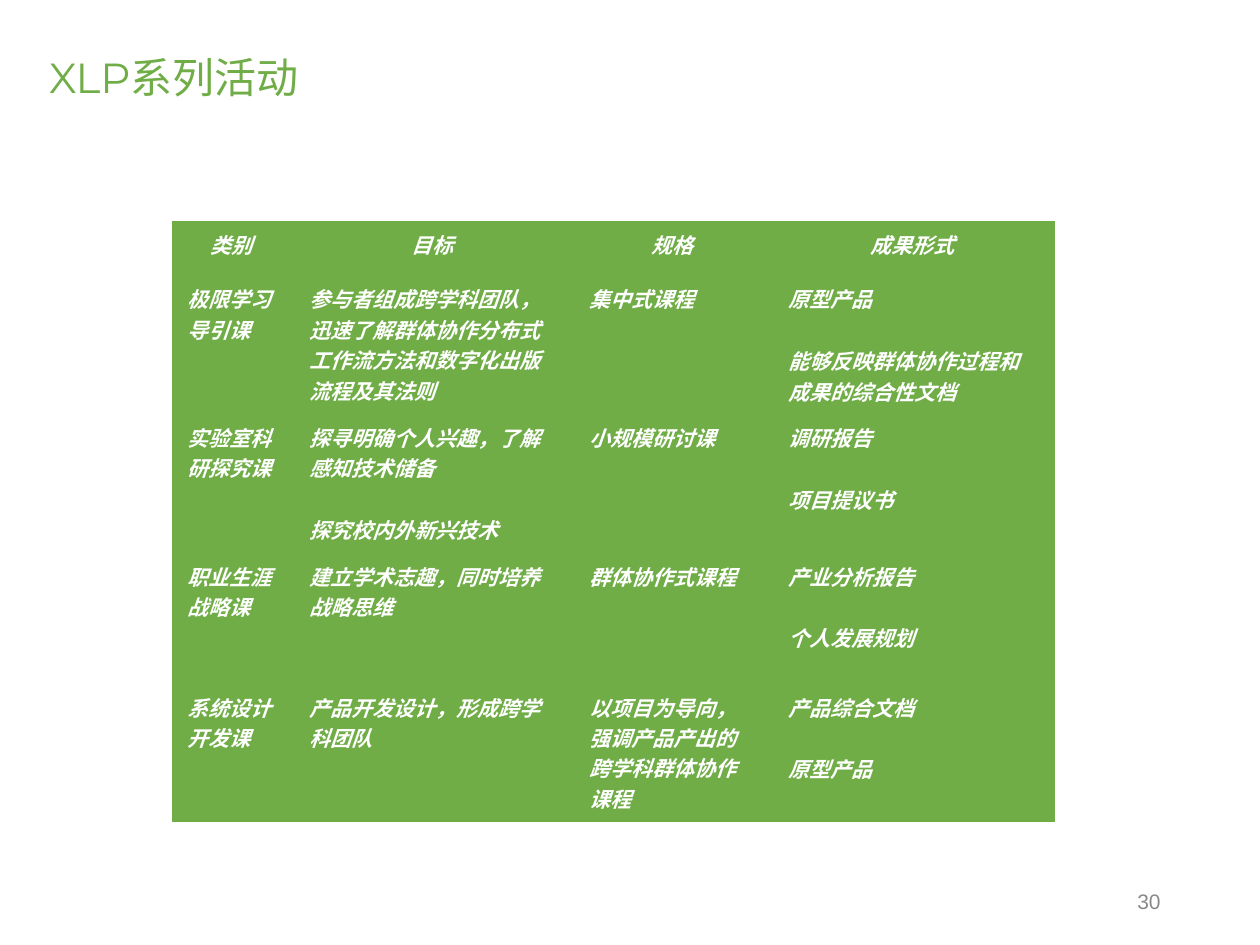
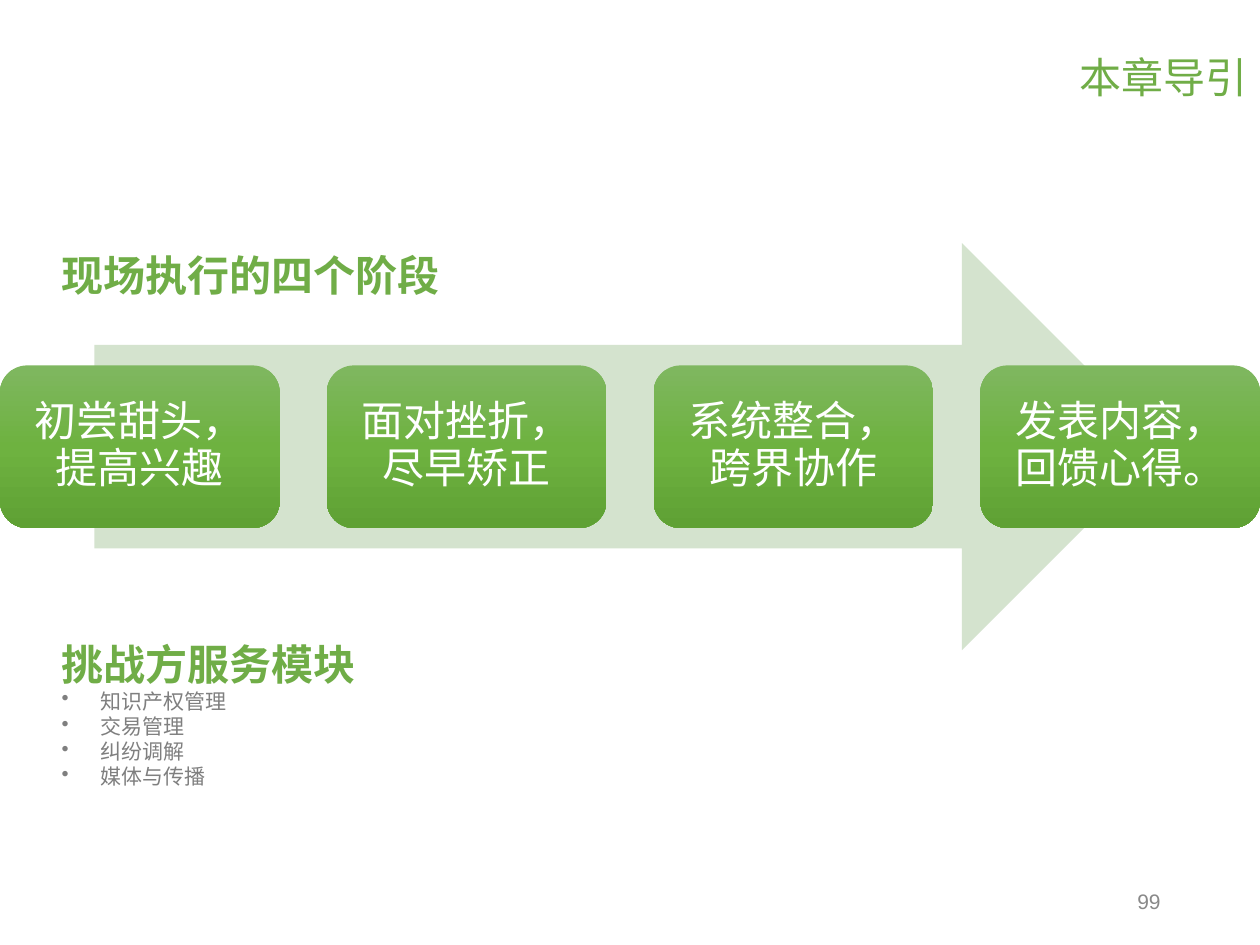
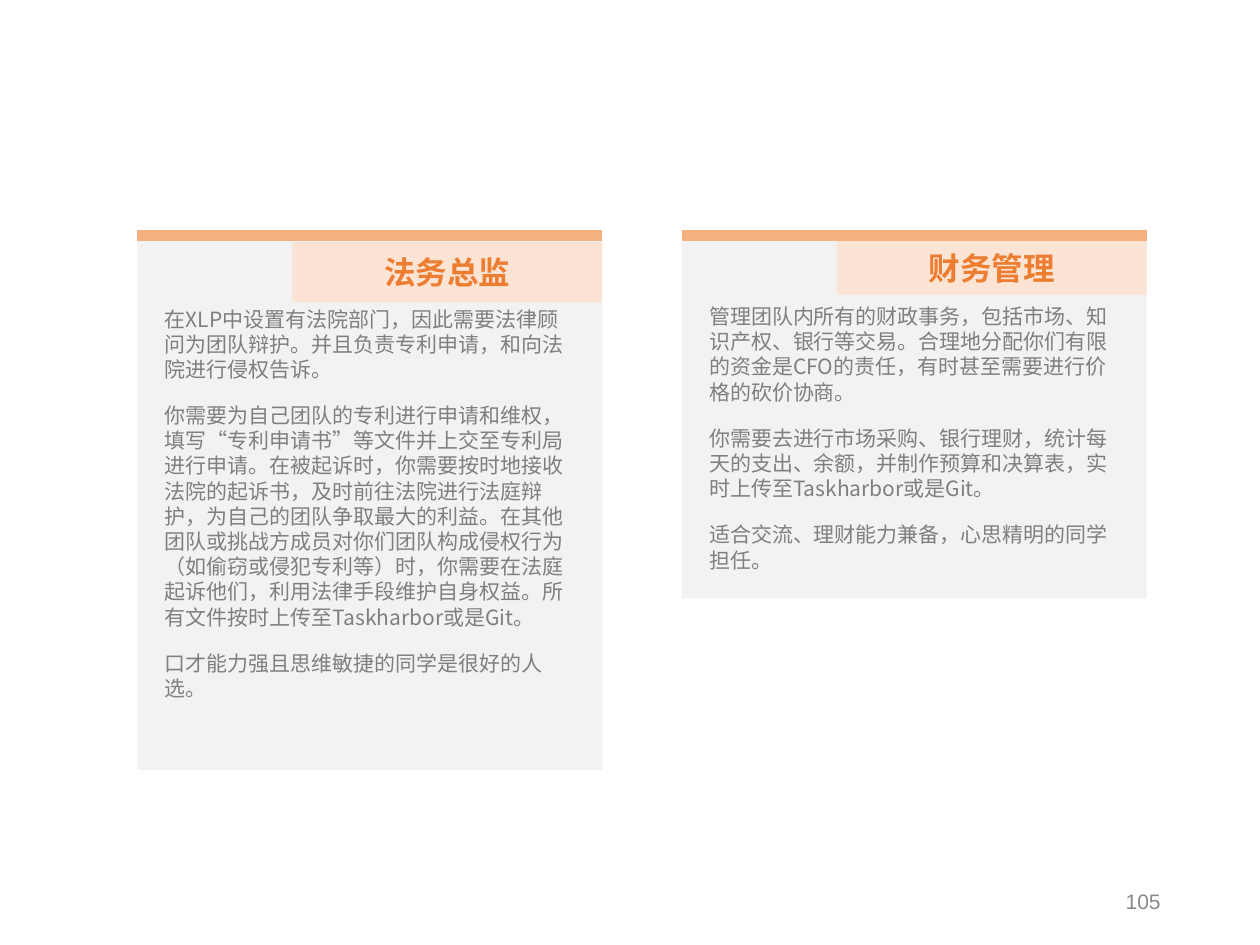
from copy import deepcopy

from lxml import etree
from pptx import Presentation, util as u
from pptx.dml.color import RGBColor
from pptx.enum import lang, shapes, text
from pptx.oxml.ns import qn

HUE = {
    "green": "70AD47", "white": "FFFFFF", "gray": "7F7F7F", "page": "898989",
    "arrow": "D4E3CE", "card": "F2F2F2", "flag": "FBE4D4", "rust": "ED7D31",
    "bar": "F4B081", "top": "7FB760", "mid": "6EB240", "low": "5FA134",
}
RGB = {name: RGBColor.from_string(code) for name, code in HUE.items()}
CJK = "Noto Sans CJK SC"
W, H = 10, 7.5
LEFT, MID, RIGHT = text.PP_ALIGN.LEFT, text.PP_ALIGN.CENTER, text.PP_ALIGN.RIGHT
KIND = shapes.MSO_SHAPE


def put(frame, lines, size, hue, face=CJK, align=LEFT, lead=None, gap=0,
        bullet=None, hang=True, more=False, **style):
    """Write one paragraph per line; more=True adds them after the present text."""
    frame.word_wrap = True
    for i, line in enumerate(lines):
        first = i == 0 and not more
        para = frame.paragraphs[0] if first else frame.add_paragraph()
        props = para._p.get_or_add_pPr()
        if not hang:
            props.set("hangingPunct", "0")
        if bullet:
            props.set("marL", str(u.Inches(0.31)))
            props.set("indent", str(-u.Inches(0.31)))
            etree.SubElement(props, qn("a:buChar"), char=bullet)
        para.alignment = align
        para.space_before = u.Pt(0 if first else gap)
        if lead:
            para.line_spacing = u.Pt(lead)
        run = para.add_run()
        run.text = line
        look = {"name": face, "size": u.Pt(size), "bold": False,
                "language_id": lang.MSO_LANGUAGE_ID.SIMPLIFIED_CHINESE, **style}
        for key, value in look.items():
            setattr(run.font, key, value)
        run.font.color.rgb = RGB[hue]
        etree.SubElement(run._r.get_or_add_rPr(), qn("a:ea"), typeface=CJK)


def add(slide, x, y, w, h, kind=None, hue=None):
    """Add a text box, or a plain shape if a kind is given."""
    spot = [u.Inches(n) for n in (x, y, w, h)]
    if kind is None:
        return slide.shapes.add_textbox(*spot)
    shape = slide.shapes.add_shape(kind, *spot)
    shape.shadow.inherit = False
    shape.line.fill.background()
    if hue:
        shape.fill.solid()
        shape.fill.fore_color.rgb = RGB[hue]
    return shape


deck = Presentation()
deck.slide_width, deck.slide_height = u.Inches(W), u.Inches(H)

# Titles and page numbers
pages = []
for title, wide, align, num in [
    ("XLP系列活动", 9.53, LEFT, "30"),
    ("本章导引", W, RIGHT, "99"),
    (None, None, None, "105"),
]:
    slide = deck.slides.add_slide(deck.slide_layouts[5 if title else 6])
    pages.append(slide)
    if title:
        head = slide.shapes.title
        spot = {"left": 0, "top": 0.26, "width": wide, "height": 0.59}
        for key, value in spot.items():
            setattr(head, key, u.Inches(value))
        frame = head.text_frame
        frame.auto_size = text.MSO_AUTO_SIZE.NONE
        frame.vertical_anchor = text.MSO_ANCHOR.BOTTOM
        frame.margin_left, frame.margin_right = u.Inches(0.39), u.Inches(0.1)
        frame.margin_top, frame.margin_bottom = u.Inches(0.05), u.Inches(0.04)
        put(frame, [title], 24, "green", "Montserrat", align)
    foot = add(slide, 7.06, 6.95, 2.25, 0.4).text_frame
    foot.vertical_anchor = text.MSO_ANCHOR.MIDDLE
    put(foot, [num], 12, "page", "Arial", RIGHT)

# Table of activities
ROWS = [
    ["类别", "目标", "规格", "成果形式"],
    ["极限学习导引课",
     "参与者组成跨学科团队，迅速了解群体协作分布式工作流方法和数字化出版流程及其法则",
     "集中式课程", "原型产品\n能够反映群体协作过程和成果的综合性文档"],
    ["实验室科研探究课", "探寻明确个人兴趣，了解感知技术储备\n探究校内外新兴技术",
     "小规模研讨课", "调研报告\n项目提议书"],
    ["职业生涯战略课", "建立学术志趣，同时培养战略思维",
     "群体协作式课程", "产业分析报告\n个人发展规划"],
    ["系统设计开发课", "产品开发设计，形成跨学科团队",
     "以项目为导向，强调产品产出的跨学科群体协作课程", "产品综合文档\n原型产品"],
]
COLS = [0.97, 2.22, 1.58, 2.23]
TALL = [0.43, 1.1, 1.1, 1.04, 1.09]
grid = pages[0].shapes.add_table(
    len(ROWS), len(COLS), u.Inches(1.37), u.Inches(1.76),
    u.Inches(sum(COLS)), u.Inches(sum(TALL))).table
for col, wide in zip(grid.columns, COLS):
    col.width = u.Inches(wide)
for r, row in enumerate(ROWS):
    grid.rows[r].height = u.Inches(TALL[r])
    for c, words in enumerate(row):
        cell = grid.cell(r, c)
        cell.margin_left, cell.margin_right = u.Inches(0.12), u.Inches(0.15)
        cell.margin_top = cell.margin_bottom = u.Inches(0.06)
        for side in ("lnL", "lnR", "lnT", "lnB"):
            edge = etree.SubElement(cell._tc.get_or_add_tcPr(), qn("a:" + side),
                                    w=str(u.Pt(0.5)))
            ink = etree.SubElement(edge, qn("a:solidFill"))
            etree.SubElement(ink, qn("a:srgbClr"), val=HUE["green"])
        cell.fill.solid()
        cell.fill.fore_color.rgb = RGB["green"]
        put(cell.text_frame, words.split("\n"), 12, "white",
            CJK if c == 3 else "Arial", LEFT if r else MID, gap=18,
            bold=True, italic=True)

# Four phases on an arrow, then the service modules
guide = pages[1]
add(guide, 0.75, 1.93, 8.5, 3.23, KIND.RIGHT_ARROW, "arrow")
PHASES = ["初尝甜头，提高兴趣", "面对挫折，尽早矫正",
          "系统整合，跨界协作", "发表内容，回馈心得。"]
wide = 2.22
step = (W - wide) / (len(PHASES) - 1)
for i, phase in enumerate(PHASES):
    box = add(guide, i * step, 2.9, wide, 1.29, KIND.ROUNDED_RECTANGLE)
    box.fill.gradient()
    box.fill.gradient_angle = 270
    stops = next(box._element.spPr.iter(qn("a:gsLst")))
    stops.insert(1, deepcopy(stops[0]))
    for stop, hue, place in zip(box.fill.gradient_stops,
                                ("top", "mid", "low"), (0, 0.5, 1)):
        stop.color.rgb = RGB[hue]
        stop.position = place
    frame = box.text_frame
    frame.vertical_anchor = text.MSO_ANCHOR.MIDDLE
    frame.margin_left = frame.margin_right = u.Inches(0.17)
    frame.margin_bottom = u.Inches(0.07)
    put(frame, [phase], 24, "white", align=MID, lead=26.3)

put(add(guide, 0.39, 1.93, 3.4, 0.51).text_frame, ["现场执行的四个阶段"],
    24, "green", lead=29, bold=True)
frame = add(guide, 0.39, 4.81, 3.4, 1.68).text_frame
put(frame, ["挑战方服务模块"], 24, "green", lead=43.5, bold=True)
put(frame, ["知识产权管理", "交易管理", "纠纷调解", "媒体与传播"],
    12, "gray", bullet="•", more=True)

# Role cards: name, left, card height, flag top and height, body top, body
CARDS = [
    ("财务管理", 5.41, 2.92, 1.91, 0.43, 2.36, [
        "管理团队内所有的财政事务，包括市场、知识产权、银行等交易。合理地分配你们有限的资金是CFO的责任，有时甚至需要进行价格的砍价协商。",
        "你需要去进行市场采购、银行理财，统计每天的支出、余额，并制作预算和决算表，实时上传至Taskharbor或是Git。",
        "适合交流、理财能力兼备，心思精明的同学担任。"]),
    ("法务总监", 1.09, 4.28, 1.92, 0.48, 2.38, [
        "在XLP中设置有法院部门，因此需要法律顾问为团队辩护。并且负责专利申请，和向法院进行侵权告诉。",
        "你需要为自己团队的专利进行申请和维权，填写“专利申请书”等文件并上交至专利局进行申请。在被起诉时，你需要按时地接收法院的起诉书，及时前往法院进行法庭辩护，为自己的团队争取最大的利益。在其他团队或挑战方成员对你们团队构成侵权行为（如偷窃或侵犯专利等）时，你需要在法庭起诉他们，利用法律手段维护自身权益。所有文件按时上传至Taskharbor或是Git。",
        "口才能力强且思维敏捷的同学是很好的人选。"]),
]
wide, top = 3.69, 1.83
for role, x, tall, y, high, start, body in CARDS:
    add(pages[2], x, top, wide, tall, KIND.RECTANGLE, "card")
    put(add(pages[2], x + 0.12, start, 3.4, top + tall - start).text_frame,
        body, 12, "gray", lead=14.4, gap=12, hang=False)
    flag = add(pages[2], x + wide / 3, y, wide * 2 / 3, high, KIND.RECTANGLE, "flag")
    flag.text_frame.vertical_anchor = text.MSO_ANCHOR.MIDDLE
    put(flag.text_frame, [role], 18, "rust", "Arial", MID, bold=True)
    bar = pages[2].shapes.add_connector(
        shapes.MSO_CONNECTOR.STRAIGHT,
        *[u.Inches(n) for n in (x, top + 0.04, x + wide, top + 0.04)])
    bar.line.color.rgb = RGB["bar"]
    bar.line.width = u.Pt(6)
    etree.SubElement(bar._element.spPr, qn("a:effectLst"))

deck.save("out.pptx")
